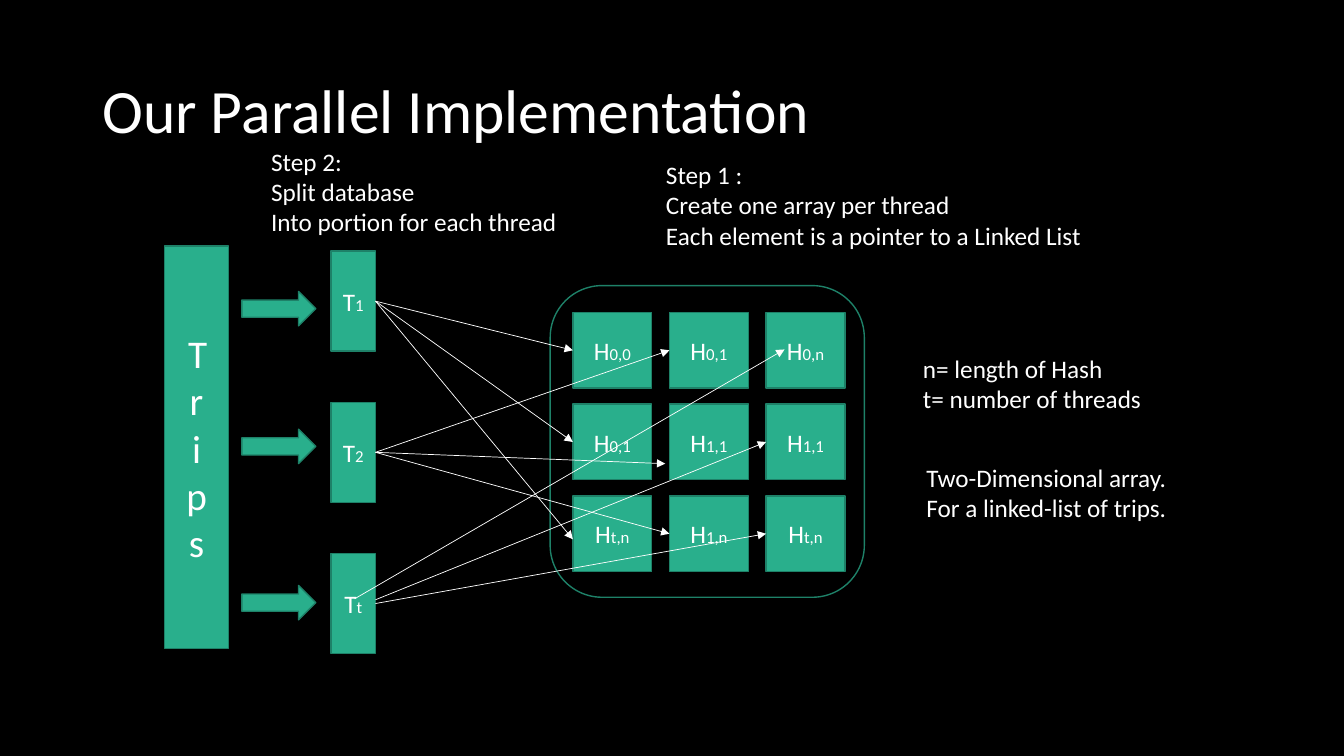
import pptx
import pptx.dml.color
import pptx.enum.shapes
import pptx.enum.text
import pptx.oxml
import pptx.util

COLS, ROWS = 160, 90
BLACK, WHITE, GREEN, DARK_GREEN = "000000", "FFFFFF", "29AF8C", "1E8168"
SHAPE = pptx.enum.shapes.MSO_SHAPE
ALIGN = pptx.enum.text.PP_ALIGN
MIDDLE = pptx.enum.text.MSO_ANCHOR.MIDDLE
TOP, LEFT, BOTTOM, RIGHT = range(4)


def color(hex_text):
    return pptx.dml.color.RGBColor.from_string(hex_text)


def write(tf, *lines, size=18, sub="", sub_size=12, align=ALIGN.LEFT, spacing=None):
    """Fill a text frame with one paragraph a line; sub is a smaller index after the text."""
    for i, line in enumerate(lines):
        p = tf.add_paragraph() if i else tf.paragraphs[0]
        p.alignment = align
        if spacing:
            p.line_spacing = spacing
        for text, points in ((line, size), (sub, sub_size)):
            if text:
                r = p.add_run()
                r.text = text
                r.font.name = "Calibri"
                r.font.size = pptx.util.Pt(points)
                r.font.color.rgb = color(WHITE)


class Deck:
    """Slide builder; every position and size is in columns and rows of the grid."""

    def __init__(self):
        self.prs = pptx.Presentation()
        self.prs.slide_width = pptx.util.Inches(13.33)
        self.prs.slide_height = pptx.util.Inches(7.5)
        self.s = self.prs.slides.add_slide(self.prs.slide_layouts[5])
        self.s.background.fill.solid()
        self.s.background.fill.fore_color.rgb = color(BLACK)

    def at(self, x, y):
        return round(self.prs.slide_width * x / COLS), round(self.prs.slide_height * y / ROWS)

    def title(self, text, x, y, w, h):
        sp = self.s.shapes.title
        sp.left, sp.top = self.at(x, y)
        sp.width, sp.height = self.at(w, h)
        sp.text_frame.vertical_anchor = MIDDLE
        write(sp.text_frame, text, size=44, spacing=0.9)

    def shape(self, kind, x, y, w, h, text="", fill=GREEN, vert=None, **fmt):
        sp = self.s.shapes.add_shape(kind, *self.at(x, y), *self.at(w, h))
        sp.shadow.inherit = False
        if fill:
            sp.fill.solid()
            sp.fill.fore_color.rgb = color(fill)
        else:
            sp.fill.background()
        sp.line.color.rgb = color(DARK_GREEN)
        sp.line.width = pptx.util.Pt(1)
        tf = sp.text_frame
        tf.vertical_anchor = MIDDLE
        if vert:
            tf._txBody.bodyPr.set("vert", vert)
        if text:
            write(tf, text, align=ALIGN.CENTER, **fmt)
        return sp

    def note(self, x, y, w, h, *lines):
        tf = self.s.shapes.add_textbox(*self.at(x, y), *self.at(w, h)).text_frame
        tf.word_wrap = False
        tf.auto_size = pptx.enum.text.MSO_AUTO_SIZE.SHAPE_TO_FIT_TEXT
        write(tf, *lines)

    def arrow(self, start, end):
        """Draw a thin arrow; each end is a box to join or a point on the grid."""
        points = [self.at(*e) if isinstance(e, tuple) else (0, 0) for e in (start, end)]
        cxn = self.s.shapes.add_connector(
            pptx.enum.shapes.MSO_CONNECTOR.STRAIGHT, *points[0], *points[1])
        if not isinstance(start, tuple):
            cxn.begin_connect(start, RIGHT)
        if not isinstance(end, tuple):
            cxn.end_connect(end, LEFT)
        cxn.line.color.rgb = color(WHITE)
        cxn.line.width = pptx.util.Pt(0.5)
        ns = pptx.oxml.ns.qn
        cxn.line._get_or_add_ln().makeelement
        tail = pptx.oxml.parse_xml(
            '<a:tailEnd xmlns:a="http://schemas.openxmlformats.org/drawingml/2006/main" '
            'type="triangle"/>')
        cxn.line._get_or_add_ln().append(tail)
        sp_pr = cxn._element.spPr
        sp_pr.append(sp_pr.makeelement(ns("a:effectLst"), {}))


def main():
    deck = Deck()
    deck.title("Our Parallel Implementation", 11, 4.8, 138, 17.4)
    deck.shape(SHAPE.RECTANGLE, 19.6, 29.3, 7.6, 47.9, "Trips", size=28, vert="wordArtVert")

    threads = [deck.shape(SHAPE.RECTANGLE, 39.4, 29.9 + 18 * i, 5.3, 11.9, "T", sub=sub)
               for i, sub in enumerate("12t")]
    for y in (34.7, 51.1, 69.7):
        deck.shape(SHAPE.RIGHT_ARROW, 28.8, y, 8.8, 4.1)

    deck.shape(SHAPE.ROUNDED_RECTANGLE, 65.5, 34, 37.4, 37.1, fill=None)
    labels = [("0,0", "0,1", "0,n"), ("0,1", "1,1", "1,1"), ("t,n", "1,n", "t,n")]
    cells = [[deck.shape(SHAPE.RECTANGLE, 68.2 + 11.5 * c, 37.2 + 10.92 * r, 9.4, 9, "H", sub=sub)
              for c, sub in enumerate(row)] for r, row in enumerate(labels)]

    t1, t2, t3 = threads
    for start, end in (
        (t1, cells[0][0]), (t1, cells[1][0]), (t1, (68.2, 64.2)),
        (t2, cells[0][1]), (t2, (79.2, 55.2)), (t2, cells[2][1]),
        ((42.2, 71.3), (93.4, 41.6)), ((44.7, 71.4), cells[1][2]), (t3, cells[2][2]),
    ):
        deck.arrow(start, end)

    deck.note(78.1, 18.4, 54.2, 12.1, "Step 1 :", "Create one array per thread",
              "Each element is a pointer to a Linked List")
    deck.note(31.1, 16.8, 36.8, 12.1, "Step 2:", "Split database",
              "Into portion for each thread")
    deck.note(108.7, 41.5, 29.4, 8.5, "n= length of Hash", "t= number of threads")
    deck.note(109.1, 54.4, 31.7, 8.5, "Two-Dimensional array.", "For a linked-list of trips.")
    deck.prs.save("out.pptx")


if __name__ == "__main__":
    main()
